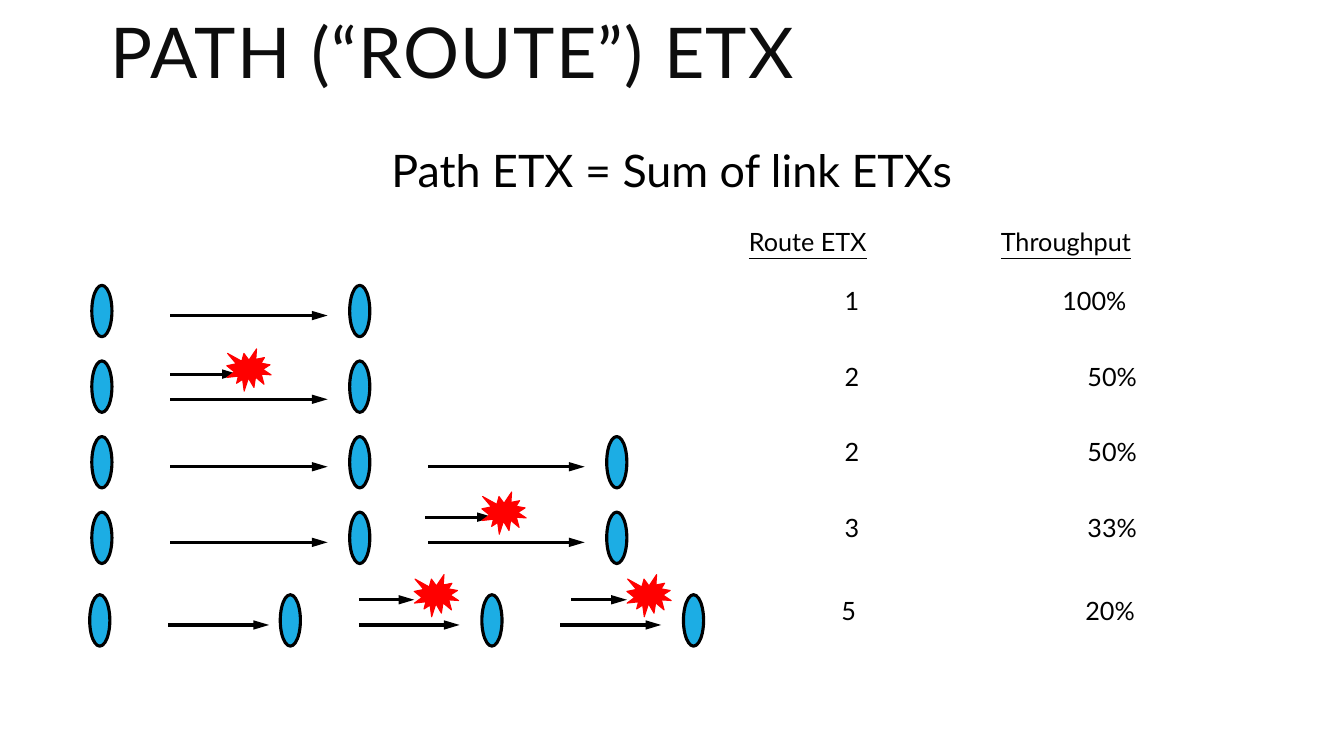
from dataclasses import dataclass

from lxml import etree
from pptx import Presentation
from pptx.dml.color import RGBColor
from pptx.enum import shapes, text
from pptx.oxml import ns
from pptx.util import Pt


@dataclass(frozen=True)
class Theme:
    font: str = "Lato"
    ink: str = "000000"
    title: str = "0D0D0D"
    node: str = "1CADE4"
    loss: str = "FF0000"
    head: float = 50
    lead: float = 32
    label: float = 18
    line: float = 2.25
    thin: float = 0.75


class Board:
    def __init__(self, slide, theme):
        self.slide = slide
        self.theme = theme

    def style(self, par, size, color):
        par.font.name = self.theme.font
        par.font.size = Pt(size)
        par.font.color.rgb = RGBColor.from_string(color)

    def title(self, words, x, y, w, h):
        box = self.slide.shapes.title
        box.left, box.top, box.width, box.height = map(Pt, (x, y, w, h))
        frame = box.text_frame
        frame.text = words
        frame.word_wrap = True
        frame.auto_size = text.MSO_AUTO_SIZE.NONE
        frame.vertical_anchor = text.MSO_ANCHOR.TOP
        par = frame.paragraphs[0]
        par.alignment = text.PP_ALIGN.LEFT
        par.line_spacing = 0.8
        self.style(par, self.theme.head, self.theme.title)
        par.runs[0].font._element.set("spc", "100")

    def text(self, words, x, y, w, h=28.8, size=None, wrap=False, under=None):
        box = self.slide.shapes.add_textbox(*map(Pt, (x, y, w, h)))
        frame = box.text_frame
        frame.word_wrap = wrap
        frame.auto_size = text.MSO_AUTO_SIZE.SHAPE_TO_FIT_TEXT
        par = frame.paragraphs[0]
        par.text = words
        if wrap:
            par.alignment = text.PP_ALIGN.CENTER
        self.style(par, size or self.theme.label, self.theme.ink)
        par.font.underline = under

    def shape(self, kind, x, y, w, h, fill, edge, width):
        item = self.slide.shapes.add_shape(kind, *map(Pt, (x, y, w, h)))
        item.shadow.inherit = False
        item.fill.solid()
        item.fill.fore_color.rgb = RGBColor.from_string(fill)
        item.line.color.rgb = RGBColor.from_string(edge)
        item.line.width = Pt(width)

    def node(self, x, y):
        look = self.theme
        self.shape(shapes.MSO_SHAPE.OVAL, x, y, 14.4, 36.7,
                   look.node, look.ink, look.line)

    def burst(self, x, y):
        look = self.theme
        self.shape(shapes.MSO_SHAPE.EXPLOSION1, x, y, 31.7, 30.2,
                   look.loss, look.loss, look.thin)

    def arrow(self, x, end, y):
        line = self.slide.shapes.add_connector(
            shapes.MSO_CONNECTOR.STRAIGHT, *map(Pt, (x, y, end, y)))
        line.line.color.rgb = RGBColor.from_string(self.theme.ink)
        line.line.width = Pt(self.theme.line)
        tail = etree.SubElement(line.line._get_or_add_ln(), ns.qn("a:tailEnd"))
        tail.set("type", "triangle")
        tail.set("len", "lg")
        etree.SubElement(line._element.spPr, ns.qn("a:effectLst"))


@dataclass
class Route:
    """One row; sends are (start, end, drop), losses (start, end, drop, burst x).

    Labels are (words, x, width).
    """
    top: float
    nodes: tuple
    sends: tuple
    losses: tuple
    etx: tuple
    rate: tuple


def draw(board, route):
    for x in route.nodes:
        board.node(x, route.top)
    for x, end, drop in route.sends:
        board.arrow(x, end, route.top + drop)
    for x, end, drop, seal in route.losses:
        y = route.top + drop
        board.arrow(x, end, y)
        board.burst(seal, y - 18)
    for words, x, width in (route.etx, route.rate):
        board.text(words, x, route.top - 3.4, width)


FIRST, STEP = 203.8, 54
PAIR = (65.6, 249.8)
TRIO = (*PAIR, 433.4)
HOP1, HOP2 = (121.7, 234, 21.6), (306, 417.6, 21.6)
SHORT = tuple((x, x + 72, 21.6) for x in (120.2, 256.3, 400.3))
ETX, RATE = (596.2, 24.5), (769.7, 51.1)
ROUTES = (
    Route(FIRST, PAIR, (HOP1,), (), ("1", *ETX), ("100%", 751.7, 61.2)),
    Route(FIRST + STEP, PAIR, ((121.7, 234, 27.4),),
          ((121.7, 169.9, 9.4, 162),), ("2", *ETX), ("50%", *RATE)),
    Route(FIRST + 2 * STEP, TRIO, (HOP1, HOP2), (),
          ("2", *ETX), ("50%", *RATE)),
    Route(FIRST + 3 * STEP, TRIO, (HOP1, HOP2),
          ((303.8, 352.1, 3.6, 344.2),), ("3", *ETX), ("33%", *RATE)),
    Route(424.8, (64.1, 200.2, 344.2, 488.2), SHORT,
          ((256.3, 295.9, 3.6, 295.9), (408.2, 447.8, 3.6, 447.8)),
          ("5", 594, 24.5), ("20%", 768.2, 51.1)),
)


def main():
    deck = Presentation()
    deck.slide_width, deck.slide_height = Pt(960), Pt(540)
    look = Theme()
    board = Board(deck.slides.add_slide(deck.slide_layouts[5]), look)
    board.title("PATH (“ROUTE”) ETX", 72, 14.4, 816, 90)
    board.text("Path ETX = Sum of link ETXs", 0, 98.6, 960, 47.5,
               size=look.lead, wrap=True)
    board.text("Route ETX", 527.8, 158.4, 103.7, under=True)
    board.text("Throughput", 707.8, 158.4, 107.3, under=True)
    for route in ROUTES:
        draw(board, route)
    deck.save("out.pptx")


if __name__ == "__main__":
    main()
